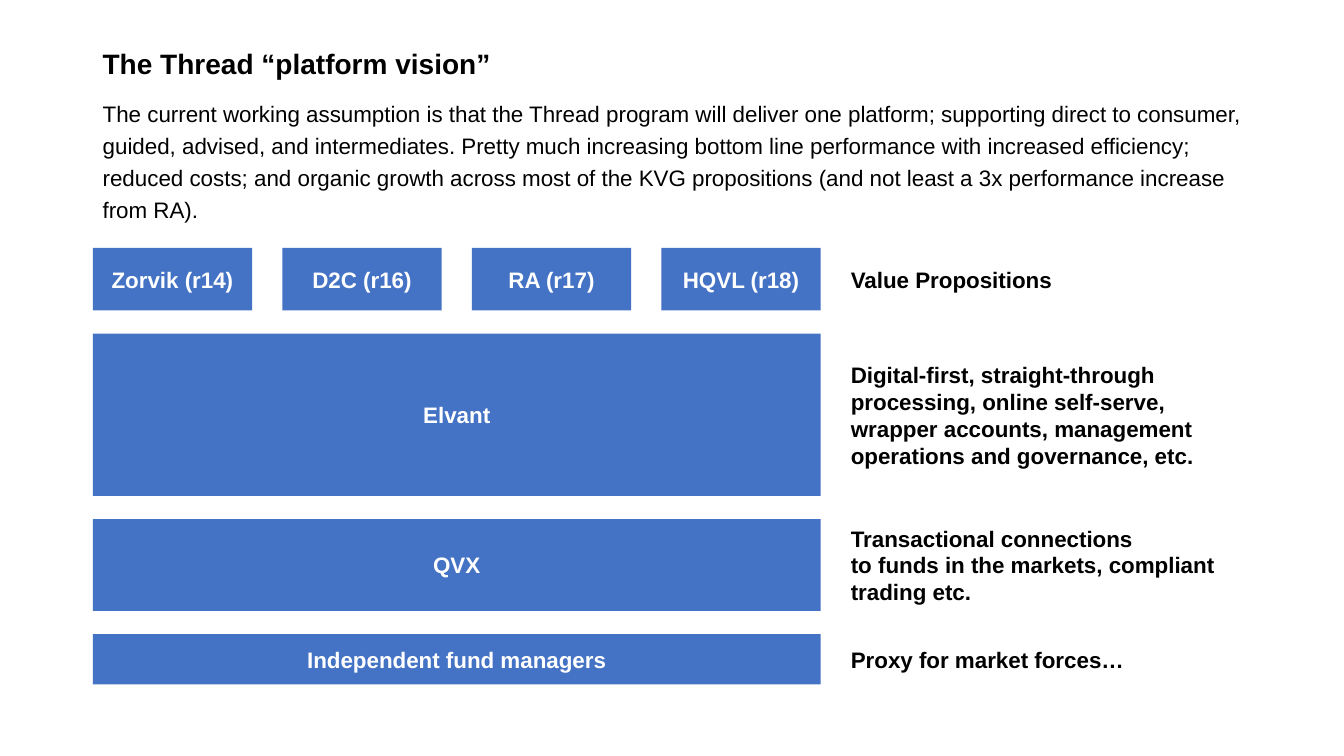
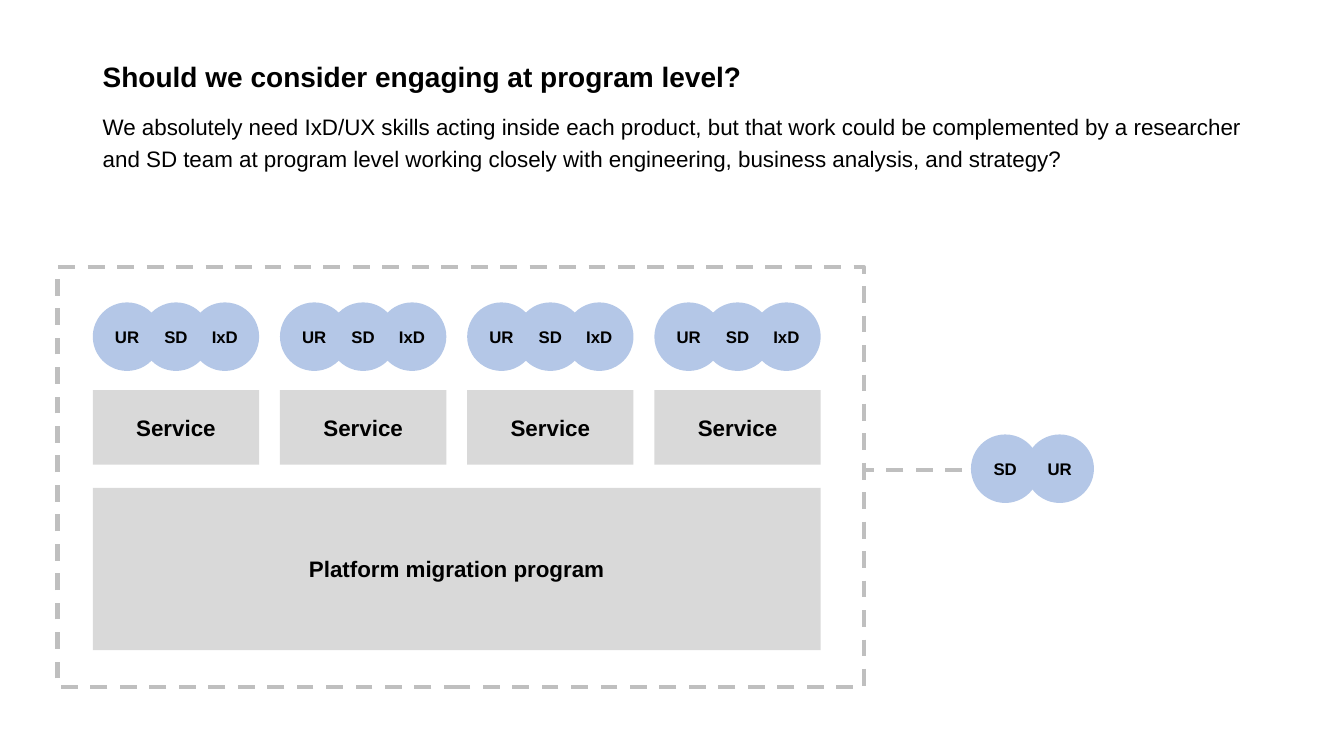
from collections import namedtuple
from dataclasses import dataclass

from lxml.etree import SubElement
from pptx import Presentation
from pptx.dml.color import RGBColor as Rgb
from pptx.enum.dml import MSO_LINE as Dash
from pptx.enum.shapes import MSO_CONNECTOR as Link, MSO_SHAPE as Form
from pptx.enum.text import MSO_ANCHOR as Anchor, PP_ALIGN as Align
from pptx.oxml.ns import qn
from pptx.util import Inches, Pt

Box = namedtuple("Box", "x y w h")


@dataclass(frozen=True)
class Theme:
    font: str = "Arial"
    ink: str = "000000"
    white: str = "FFFFFF"
    blue: str = "4472C4"
    pale: str = "B4C7E7"
    gray: str = "D9D9D9"
    dash: str = "BFBFBF"
    head: int = 20
    body: int = 16
    role: int = 12
    rule: int = 3


THEME = Theme()
LEFT = 0.92
WIDE = 11.5
MAIN = 7.22
DISC = 0.68


def place(box):
    return [Inches(v) for v in box]


def style(par, size, color=THEME.ink, bold=True, align=Align.LEFT):
    par.alignment = align
    for run in par.runs:
        font = run.font
        font.name = THEME.font
        font.size = Pt(size)
        font.bold = bold
        font.color.rgb = Rgb.from_string(color)


def block(slide, box, text, fill, color=THEME.ink, size=THEME.body, form=Form.RECTANGLE):
    shape = slide.shapes.add_shape(form, *place(box))
    shape.shadow.inherit = False
    shape.fill.solid()
    shape.fill.fore_color.rgb = Rgb.from_string(fill)
    shape.line.fill.background()
    frame = shape.text_frame
    frame.text = text
    frame.word_wrap = True
    frame.vertical_anchor = Anchor.MIDDLE
    if form == Form.OVAL:
        frame.margin_left = frame.margin_right = 0
    style(frame.paragraphs[0], size, color, align=Align.CENTER)


def label(slide, box, text):
    frame = slide.shapes.add_textbox(*place(box)).text_frame
    frame.text = text
    frame.word_wrap = True
    frame.vertical_anchor = Anchor.MIDDLE
    style(frame.paragraphs[0], THEME.body)


def intro(slide, box, title, text):
    frame = slide.shapes.add_textbox(*place(box)).text_frame
    frame.word_wrap = True
    head, body = frame.paragraphs[0], frame.add_paragraph()
    head.text, body.text = title, text
    style(head, THEME.head)
    style(body, THEME.body, bold=False)
    head.line_spacing, body.line_spacing = 0.9, 1.2
    head.space_before = body.space_before = Pt(10)


def spread(box, count, width):
    step = (box.w - width) / max(count - 1, 1)
    return [Box(box.x + i * step, box.y, width, box.h) for i in range(count)]


def layer(slide, box, names, width, note):
    for cell, name in zip(spread(box._replace(w=MAIN), len(names), width), names):
        block(slide, cell, name, THEME.blue, THEME.white)
    side = MAIN + 0.2
    label(slide, Box(box.x + side, box.y, box.w - side, box.h), note)


def stack(slide, box, layers, gap):
    top = box.y
    for high, names, width, note in layers:
        layer(slide, Box(box.x, top, box.w, high), names, width, note)
        top += high + gap


def team(slide, box, roles):
    for cell, role in zip(spread(box, len(roles), DISC), roles):
        block(slide, cell, role, THEME.pale, size=THEME.role, form=Form.OVAL)


def stroke(line):
    line.color.rgb = Rgb.from_string(THEME.dash)
    line.width = Pt(THEME.rule)
    line.dash_style = Dash.DASH


def fence(slide, box):
    shape = slide.shapes.add_shape(Form.RECTANGLE, *place(box))
    shape.shadow.inherit = False
    shape.fill.background()
    stroke(shape.line)


def tie(slide, start, end, y):
    link = slide.shapes.add_connector(Link.STRAIGHT, *place((start, y, end, y)))
    stroke(link.line)
    SubElement(link.element.spPr, qn("a:effectLst"))


def program(slide, box):
    fence(slide, box)
    x = box.x + 0.35
    block(slide, Box(x, box.y + 2.19, MAIN, 1.61), "Platform migration program", THEME.gray)
    for cell in spread(Box(x, box.y + 1.22, MAIN, 0.74), 4, 1.65):
        block(slide, cell, "Service", THEME.gray)
        team(slide, cell._replace(y=box.y + 0.35, h=DISC), ["UR", "SD", "IxD"])


def vision(slide):
    intro(slide, Box(LEFT, 0.45, WIDE, 1.86), "The Thread “platform vision”",
          "The current working assumption is that the Thread program will deliver one platform; "
          "supporting direct to consumer, guided, advised, and intermediates. Pretty much "
          "increasing bottom line performance with increased efficiency; reduced costs; and "
          "organic growth across most of the KVG propositions (and not least a 3x performance "
          "increase from RA).")
    layers = [
        (0.62, ["Zorvik (r14)", "D2C (r16)", "RA (r17)", "HQVL (r18)"], 1.58,
         "Value Propositions"),
        (1.61, ["Elvant"], MAIN,
         "Digital-first, straight-through processing, online self-serve, wrapper accounts, "
         "management operations and governance, etc."),
        (0.91, ["QVX"], MAIN,
         "Transactional connections \vto funds in the markets, compliant trading etc."),
        (0.5, ["Independent fund managers"], MAIN, "Proxy for market forces…"),
    ]
    stack(slide, Box(LEFT, 2.46, WIDE, 4.33), layers, 0.23)


def engage(slide):
    intro(slide, Box(LEFT, 0.58, WIDE, 1.62), "Should we consider engaging at program level?",
          "We absolutely need IxD/UX skills acting inside each product, but that work could be "
          "complemented by a researcher and SD team at program level working closely with "
          "engineering, business analysis, and strategy?")
    program(slide, Box(0.57, 2.65, 8, 4.17))
    tie(slide, 10.42, 8.57, 4.66)
    team(slide, Box(9.63, 4.31, 1.22, DISC), ["SD", "UR"])


def main():
    deck = Presentation()
    deck.slide_width, deck.slide_height = Inches(13.33), Inches(7.5)
    for draw in (vision, engage):
        draw(deck.slides.add_slide(deck.slide_layouts[6]))
    deck.save("out.pptx")


if __name__ == "__main__":
    main()
